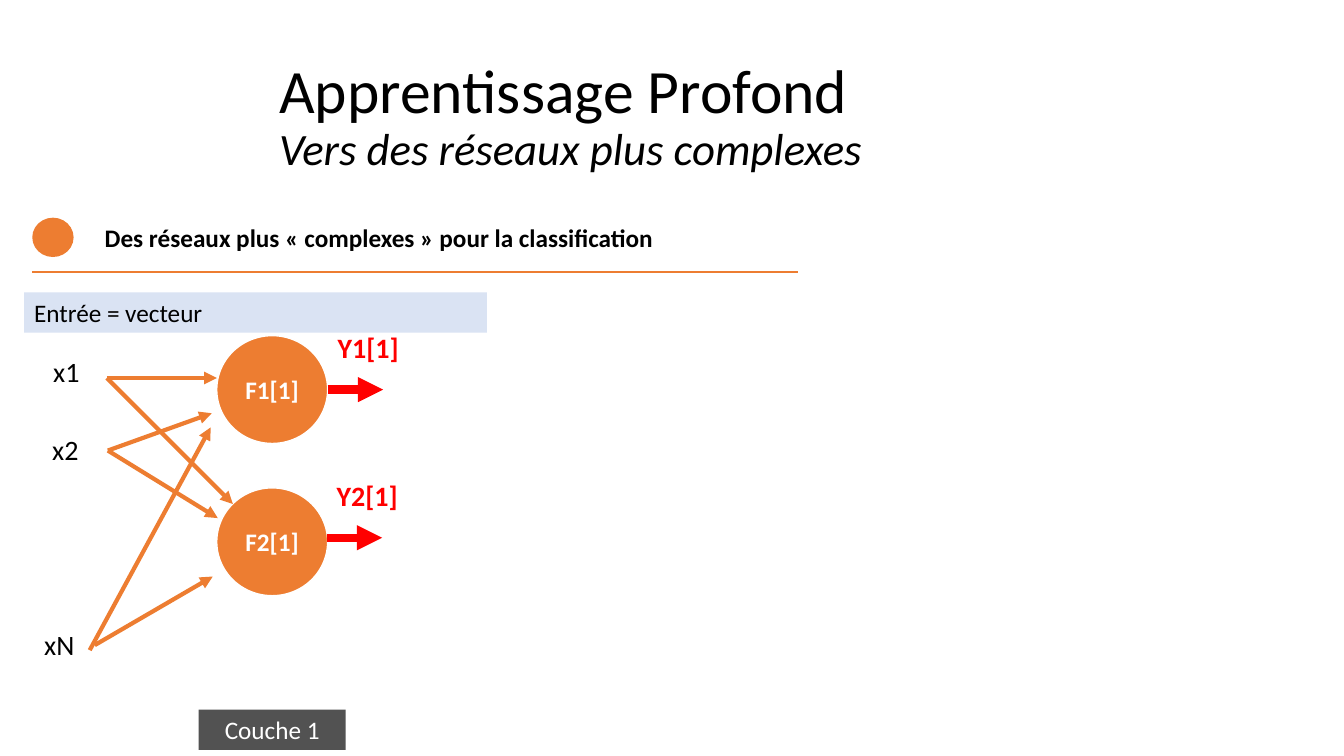
from dataclasses import dataclass
from typing import Optional

from lxml import etree
from pptx import Presentation
from pptx.dml.color import RGBColor
from pptx.enum.shapes import MSO_CONNECTOR, MSO_SHAPE
from pptx.enum.text import MSO_ANCHOR, PP_ALIGN
from pptx.oxml.ns import qn
from pptx.util import Inches, Pt

LINE = MSO_CONNECTOR.STRAIGHT
OVAL = MSO_SHAPE.OVAL
RECT = MSO_SHAPE.RECTANGLE
TOP = MSO_ANCHOR.TOP
MIDDLE = MSO_ANCHOR.MIDDLE
LEFT = PP_ALIGN.LEFT
CENTER = PP_ALIGN.CENTER

FONT = "Calibri"
ORANGE = "ED7D31"
RED = "FF0000"
BLACK = "000000"
WHITE = "FFFFFF"
PALE_BLUE = "DAE3F3"
GREY = "525252"


@dataclass
class Run:
    text: str
    size: float = 18
    color: str = BLACK
    bold: bool = False
    italic: bool = False


@dataclass
class Box:
    x: float
    y: float
    w: float
    h: float
    runs: tuple[Run, ...] = ()
    shape: Optional[MSO_SHAPE] = None
    fill: str = WHITE
    line: Optional[str] = None
    align: PP_ALIGN = LEFT
    anchor: MSO_ANCHOR = TOP
    wrap: bool = True
    spacing: float = 1.0


@dataclass
class Link:
    x1: float
    y1: float
    x2: float
    y2: float
    color: str = ORANGE
    width: float = 3
    arrow: bool = True


@dataclass
class Neuron:
    name: str
    output: str
    y: float
    output_x: float
    output_y: float


def rgb(color: str) -> RGBColor:
    return RGBColor.from_string(color)


def draw_box(slide, box: Box) -> None:
    area = [Inches(v) for v in (box.x, box.y, box.w, box.h)]
    if box.shape is None:
        sp = slide.shapes.add_textbox(*area)
    else:
        sp = slide.shapes.add_shape(box.shape, *area)
        sp.shadow.inherit = False
        sp.fill.solid()
        sp.fill.fore_color.rgb = rgb(box.fill)
        if box.line:
            sp.line.color.rgb = rgb(box.line)
            sp.line.width = Pt(1)
        else:
            sp.line.fill.background()
    tf = sp.text_frame
    tf.word_wrap = box.wrap
    tf.vertical_anchor = box.anchor
    p = tf.paragraphs[0]
    p.alignment = box.align
    p.line_spacing = box.spacing
    for i, run in enumerate(box.runs):
        if i:
            p.add_line_break()
        r = p.add_run()
        r.text = run.text
        r.font.name = FONT
        r.font.size = Pt(run.size)
        r.font.bold = run.bold
        r.font.italic = run.italic
        r.font.color.rgb = rgb(run.color)


def draw_link(slide, link: Link) -> None:
    ends = [Inches(v) for v in (link.x1, link.y1, link.x2, link.y2)]
    cxn = slide.shapes.add_connector(LINE, *ends)
    cxn.line.color.rgb = rgb(link.color)
    cxn.line.width = Pt(link.width)
    if link.arrow:
        ln = cxn.line._get_or_add_ln()
        etree.SubElement(ln, qn("a:tailEnd"), type="triangle")
    etree.SubElement(cxn._element.spPr, qn("a:effectLst"))


def draw_neuron(slide, n: Neuron) -> None:
    draw_box(slide, Box(2.15, n.y, 1.1, 1.07, (Run(n.name, 18, WHITE, True),),
                        OVAL, ORANGE, WHITE, CENTER, MIDDLE))
    arrow_y = n.output_y + 0.635
    draw_link(slide, Link(n.output_x, arrow_y, n.output_x + 0.55, arrow_y, RED, 6))
    draw_box(slide, Box(n.output_x, n.output_y, 0.87, 0.44,
                        (Run(n.output, 20, RED, True),)))


BOXES = [
    Box(0.94, 2.16, 5.69, 0.4,
        (Run("Des réseaux plus « complexes » pour la classification", bold=True),),
        wrap=False),
    Box(0.32, 2.16, 0.41, 0.39, shape=OVAL, fill=ORANGE),
    Box(2.67, 0.44, 7.49, 1.45,
        (Run("Apprentissage Profond", 44),
         Run("Vers des réseaux plus complexes", 32, italic=True)),
        anchor=MIDDLE, spacing=0.9),
    Box(0.24, 2.9, 4.59, 0.4, (Run("Entrée = vecteur"),), RECT, PALE_BLUE),
    Box(0.43, 3.47, 0.46, 0.44, (Run("x1", 20),), wrap=False),
    Box(0.42, 4.24, 0.46, 0.44, (Run("x2", 20),), wrap=False),
    Box(0.34, 6.18, 0.5, 0.44, (Run("xN", 20),), wrap=False),
    Box(1.97, 7.04, 1.46, 0.4, (Run("Couche 1", color=WHITE),), RECT, GREY,
        align=CENTER),
]

NEURONS = [
    Neuron("F1[1]", "Y1[1]", 3.33, 3.25, 3.23),
    Neuron("F2[1]", "Y2[1]", 4.84, 3.24, 4.7),
]

LINKS = [
    Link(0.32, 2.7, 7.91, 2.7, width=1.5, arrow=False),
    Link(1.06, 3.75, 2.15, 3.75),
    Link(1.06, 3.75, 2.31, 5),
    Link(1.07, 4.47, 2.1, 4.1),
    Link(1.07, 4.47, 2.16, 5.14),
    Link(0.89, 6.45, 2.09, 4.24),
    Link(0.94, 6.4, 2.11, 5.72),
]


def main() -> None:
    prs = Presentation()
    prs.slide_width = Inches(13.33)
    prs.slide_height = Inches(7.5)
    slide = prs.slides.add_slide(prs.slide_layouts[6])
    for box in BOXES:
        draw_box(slide, box)
    for neuron in NEURONS:
        draw_neuron(slide, neuron)
    for link in LINKS:
        draw_link(slide, link)
    prs.save("out.pptx")


if __name__ == "__main__":
    main()
